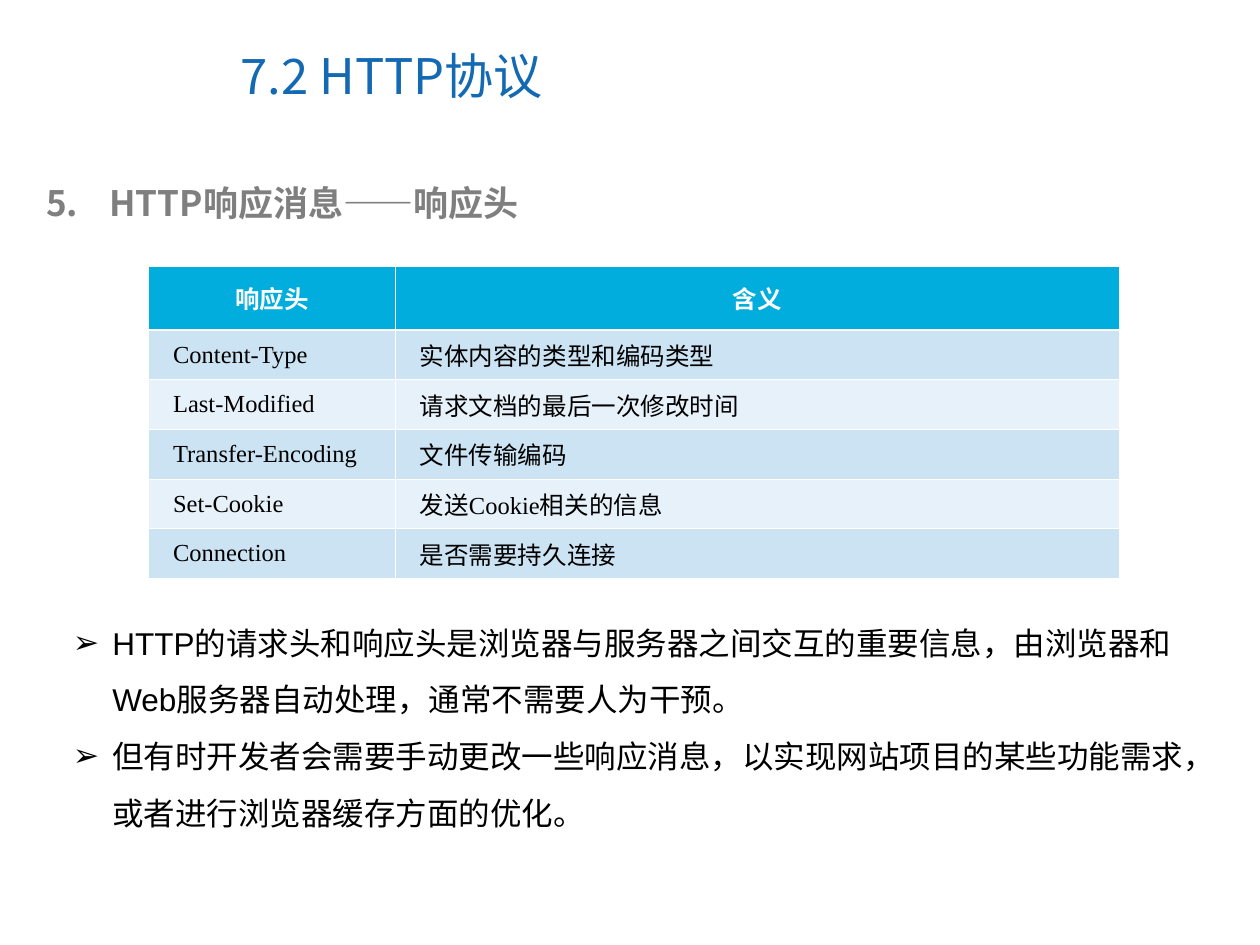
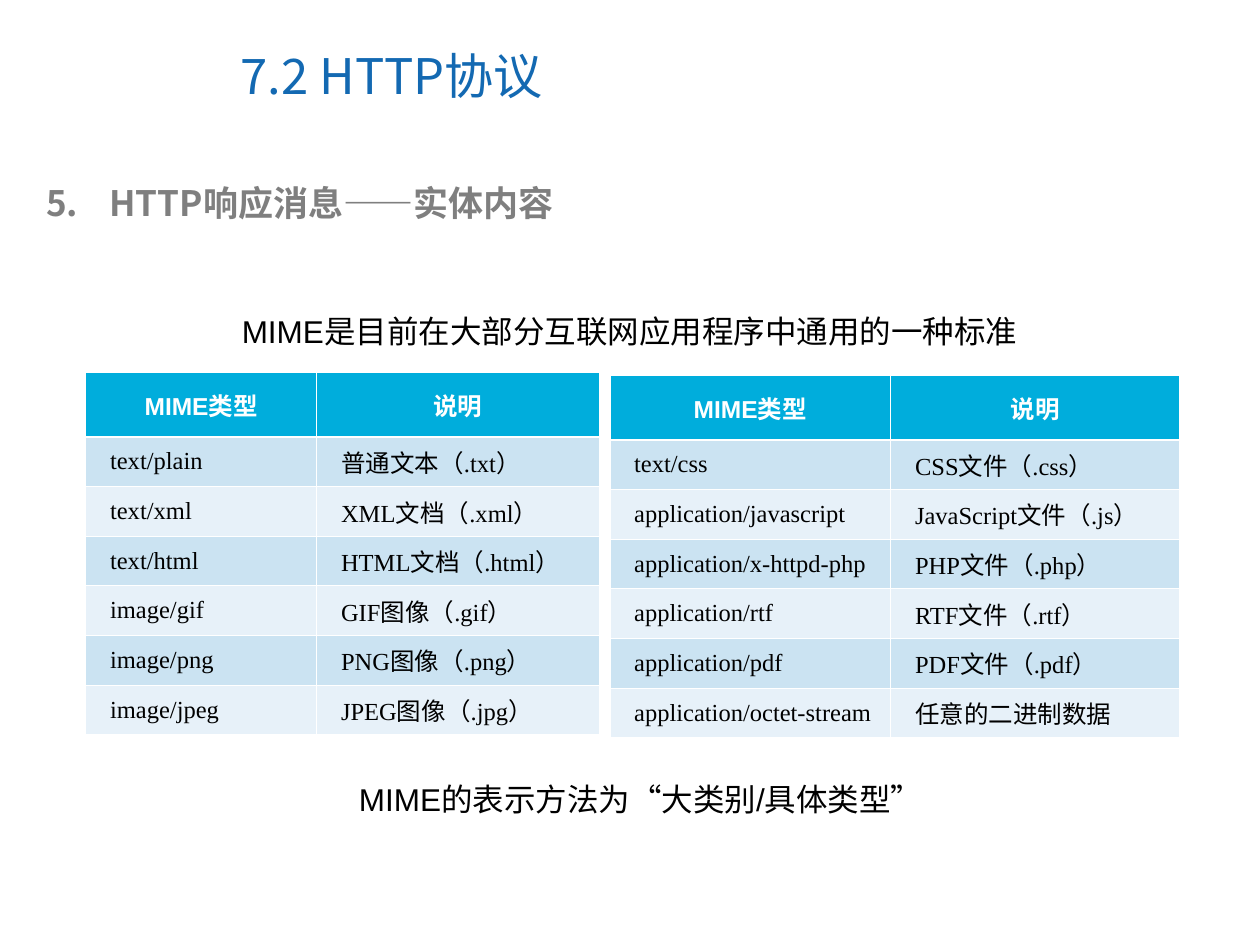
from lxml import etree
from pptx import Presentation
from pptx.dml.color import RGBColor
from pptx.enum.text import MSO_ANCHOR, MSO_AUTO_SIZE, PP_ALIGN
from pptx.oxml.ns import qn
from pptx.util import Pt

LEFT, CENTER = PP_ALIGN.LEFT, PP_ALIGN.CENTER
MIDDLE = MSO_ANCHOR.MIDDLE
NO_AUTOFIT = MSO_AUTO_SIZE.NONE

WHITE = RGBColor(0xFF, 0xFF, 0xFF)
BLACK = RGBColor(0x00, 0x00, 0x00)
BLUE = RGBColor(0x13, 0x69, 0xB2)
GRAY = RGBColor(0x7F, 0x7F, 0x7F)
CYAN = RGBColor(0x00, 0xAD, 0xDC)
BANDS = RGBColor(0xCB, 0xE3, 0xF2), RGBColor(0xE7, 0xF1, 0xF9)

SANS, SERIF, CJK = "Arial", "Times New Roman", "Noto Sans CJK SC"
HEADER_HEIGHT, ROW_HEIGHT = 36.6, 28.4
THIN, THICK = 0.45, 1.47


def write(p, text, size=18, font=SANS, color=BLACK, bold=False,
          align=LEFT, spacing=None, indent=0, hanging=0):
    """Add one formatted run to a paragraph; lengths are in points."""
    p.alignment = align
    if spacing:
        p.line_spacing = spacing
    if indent:
        pPr = p._p.get_or_add_pPr()
        pPr.set("marL", str(Pt(indent)))
        pPr.set("indent", str(-Pt(hanging)))
    r = p.add_run()
    r.text = text
    r.font.size = Pt(size)
    r.font.bold = bold
    r.font.color.rgb = color
    r.font.name = font
    etree.SubElement(r._r.get_or_add_rPr(), qn("a:ea"), typeface=CJK)


def add_bullet(p, color, tag, **attributes):
    pPr = p._p.get_or_add_pPr()
    clr = etree.SubElement(pPr, qn("a:buClr"))
    etree.SubElement(clr, qn("a:srgbClr"), val=str(color))
    etree.SubElement(pPr, qn("a:buFont"), typeface=SANS)
    etree.SubElement(pPr, qn(tag), **attributes)


def set_borders(cell, **widths):
    tcPr = cell._tc.get_or_add_tcPr()
    for side in "LRTB":
        width = Pt(widths.get(side, THIN))
        ln = etree.SubElement(tcPr, qn(f"a:ln{side}"), w=str(width))
        fill = etree.SubElement(ln, qn("a:solidFill"))
        etree.SubElement(fill, qn("a:srgbClr"), val=str(WHITE))


class Deck:
    def __init__(self):
        self.prs = Presentation()
        self.prs.slide_width, self.prs.slide_height = Pt(720), Pt(540)
        self.s = None

    def slide(self, title, heading):
        self.s = self.prs.slides.add_slide(self.prs.slide_layouts[5])
        sp = self.s.shapes.title
        sp.left, sp.top, sp.width, sp.height = map(Pt, (130.3, 12.2, 371.5, 61.2))
        tf = sp.text_frame
        tf.auto_size = NO_AUTOFIT
        tf.vertical_anchor = MIDDLE
        write(tf.paragraphs[0], title, size=28, font=CJK, color=BLUE)

        # Numbered section heading
        p = self.box(19.4, 100.1, 663.8, 31.7).paragraphs[0]
        add_bullet(p, GRAY, "a:buAutoNum", type="arabicPeriod", startAt="5")
        write(p, heading, size=20, font=CJK, color=GRAY, bold=True,
              indent=36, hanging=36)

    def box(self, x, y, w, h):
        tf = self.s.shapes.add_textbox(*map(Pt, (x, y, w, h))).text_frame
        tf.word_wrap = True
        return tf

    def statement(self, text, x, y, w, h, spacing=None):
        write(self.box(x, y, w, h).paragraphs[0], text, align=CENTER, spacing=spacing)

    def bullets(self, items, x, y, w, h):
        tf = self.box(x, y, w, h)
        for i, item in enumerate(items):
            p = tf.add_paragraph() if i else tf.paragraphs[0]
            add_bullet(p, BLACK, "a:buChar", char="➢")
            write(p, item, spacing=1.5, indent=22.5, hanging=22.5)

    def table(self, rows, x, y, widths):
        height = HEADER_HEIGHT + ROW_HEIGHT * (len(rows) - 1)
        table = self.s.shapes.add_table(
            len(rows), len(widths), *map(Pt, (x, y, sum(widths), height))).table
        for column, width in zip(table.columns, widths):
            column.width = Pt(width)
        for i, row in enumerate(rows):
            table.rows[i].height = Pt(ROW_HEIGHT if i else HEADER_HEIGHT)
            for j, text in enumerate(row):
                self.cell(table.cell(i, j), text, i, j)

    def cell(self, cell, text, i, j):
        cell.vertical_anchor = MIDDLE
        cell.margin_left = cell.margin_right = Pt(5.4)
        cell.margin_top = cell.margin_bottom = Pt(3.6)
        set_borders(cell, T=THICK if i == 1 else THIN, B=THIN if i else THICK)
        cell.fill.solid()
        p = cell.text_frame.paragraphs[0]
        if i == 0:
            cell.fill.fore_color.rgb = CYAN
            write(p, text, size=14, font=SERIF if j else SANS, color=WHITE,
                  bold=True, align=CENTER)
        else:
            cell.fill.fore_color.rgb = BANDS[(i - 1) % 2]
            write(p, text, size=14, font=SERIF, indent=8.5)


TITLE = "7.2 HTTP协议"
MIME_HEADER = ("MIME类型", "说明")


def main():
    deck = Deck()

    # Response headers
    deck.slide(TITLE, "HTTP响应消息——响应头")
    deck.table([
        ("响应头", "含义"),
        ("Content-Type", "实体内容的类型和编码类型"),
        ("Last-Modified", "请求文档的最后一次修改时间"),
        ("Transfer-Encoding", "文件传输编码"),
        ("Set-Cookie", "发送Cookie相关的信息"),
        ("Connection", "是否需要持久连接"),
    ], 85, 152, (141, 413.5))
    deck.bullets([
        "HTTP的请求头和响应头是浏览器与服务器之间交互的重要信息，"
        "由浏览器和Web服务器自动处理，通常不需要人为干预。",
        "但有时开发者会需要手动更改一些响应消息，"
        "以实现网站项目的某些功能需求，或者进行浏览器缓存方面的优化。",
    ], 34.6, 342, 656.6, 136.8)

    # Entity content
    deck.slide(TITLE, "HTTP响应消息——实体内容")
    deck.statement("MIME是目前在大部分互联网应用程序中通用的一种标准",
                   28.8, 153.4, 661.7, 50.4, spacing=2)
    deck.table([
        MIME_HEADER,
        ("text/plain", "普通文本（.txt）"),
        ("text/xml", "XML文档（.xml）"),
        ("text/html", "HTML文档（.html）"),
        ("image/gif", "GIF图像（.gif）"),
        ("image/png", "PNG图像（.png）"),
        ("image/jpeg", "JPEG图像（.jpg）"),
    ], 49, 213, (132, 161.5))
    deck.table([
        MIME_HEADER,
        ("text/css", "CSS文件（.css）"),
        ("application/javascript", "JavaScript文件（.js）"),
        ("application/x-httpd-php", "PHP文件（.php）"),
        ("application/rtf", "RTF文件（.rtf）"),
        ("application/pdf", "PDF文件（.pdf）"),
        ("application/octet-stream", "任意的二进制数据"),
    ], 348.5, 214.7, (160.5, 165))
    deck.statement("MIME的表示方法为“大类别/具体类型”", 28.8, 442, 674.6, 28.8)

    deck.prs.save("out.pptx")


if __name__ == "__main__":
    main()
